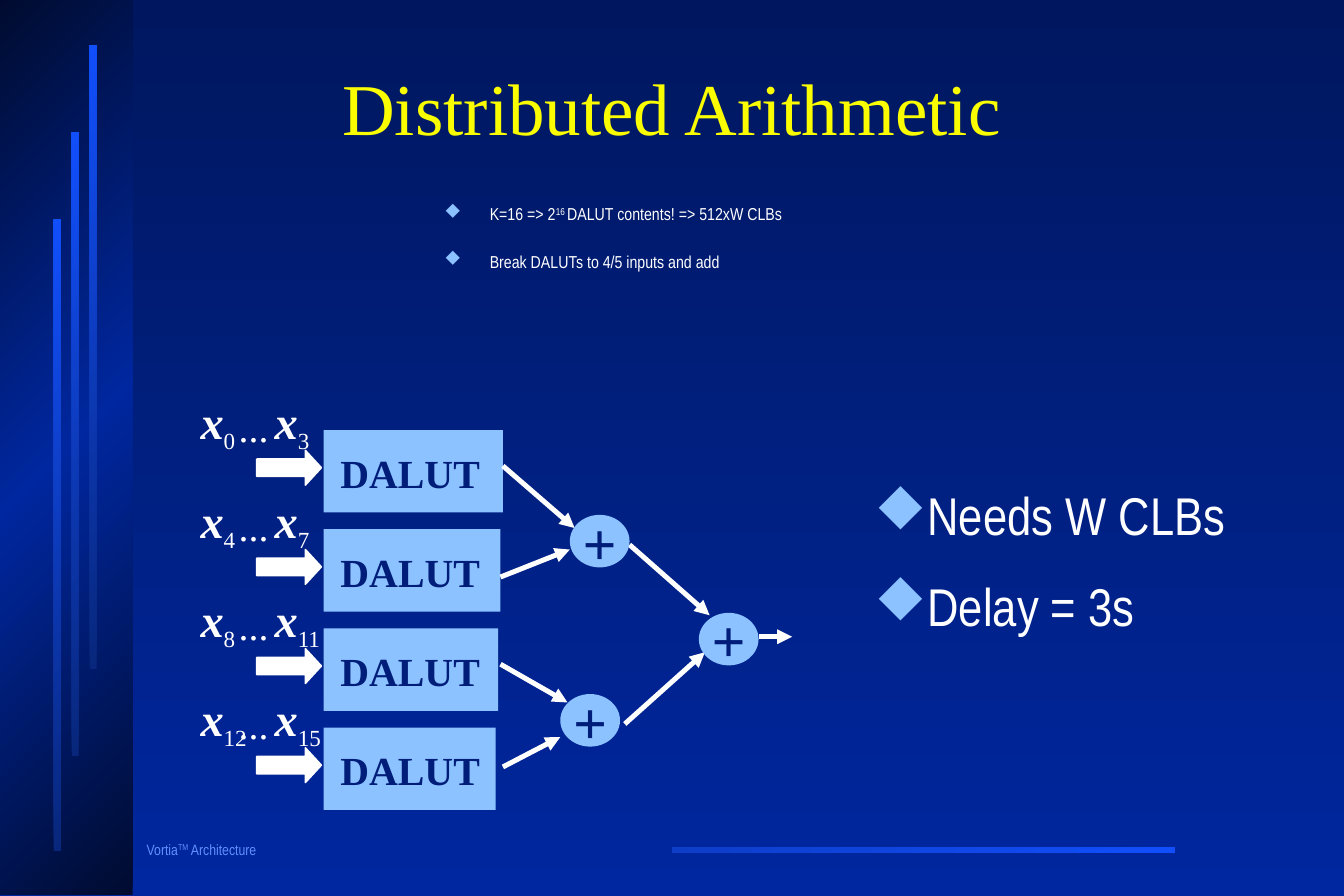
"""Build the Distributed Arithmetic slide with its DALUT adder tree."""
from copy import deepcopy

from lxml import etree
from pptx import Presentation
from pptx.dml.color import RGBColor
from pptx.enum.shapes import MSO_CONNECTOR, MSO_SHAPE
from pptx.enum.text import MSO_ANCHOR, PP_ALIGN
from pptx.oxml.ns import qn
from pptx.util import Inches, Pt

RECTANGLE, OVAL, BLOCK_ARROW = MSO_SHAPE.RECTANGLE, MSO_SHAPE.OVAL, MSO_SHAPE.RIGHT_ARROW
STRAIGHT = MSO_CONNECTOR.STRAIGHT
LEFT, CENTER = PP_ALIGN.LEFT, PP_ALIGN.CENTER
MIDDLE = MSO_ANCHOR.MIDDLE

WHITE = RGBColor(0xFF, 0xFF, 0xFF)
YELLOW = RGBColor(0xFA, 0xFD, 0x00)
SKY = RGBColor(0x8C, 0xC2, 0xFF)
INK = RGBColor(0x00, 0x1D, 0x7A)
FOOTER_BLUE = RGBColor(0x61, 0x8F, 0xFD)
NIGHT = RGBColor(0x00, 0x17, 0x5F)
ROYAL = RGBColor(0x00, 0x27, 0x9F)
BLACK_BLUE = RGBColor(0x00, 0x0B, 0x2F)
BRIGHT = RGBColor(0x11, 0x4F, 0xFB)
RULE_BLUE = RGBColor(0x0D, 0x3E, 0xC8)
DIM = RGBColor(0x08, 0x27, 0x7C)
SERIF, NARROW = "Times New Roman", "Arial Narrow"
BULLET_FONT, DIAMOND = "Wingdings", "u"

WIDTH, HEIGHT = 11.25, 7.5
TITLE = "Distributed Arithmetic"
FOOTER = [("Vortia", 0), ("TM", 30), (" Architecture", 0)]
SIZE_POINTS = [
    [("K=16 => 2", 0), ("16 ", 30), ("DALUT contents! => 512xW CLBs", 0)],
    [("Break DALUTs to 4/5 inputs and add", 0)],
]
COST_POINTS = [[("Needs W CLBs", 0)], [("Delay = 3s", 0)]]
INPUT_RANGES = [("0", "3"), ("4", "7"), ("8", "11"), ("12", "15")]
DECORATIONS = [
    ((5.63, 7.09, 4.21, 0.05), [BRIGHT, RULE_BLUE]),
    ((0, 0, 1.11, 7.49), [BLACK_BLUE, ROYAL, BLACK_BLUE]),
    ((0.45, 1.84, 0.06, 5.28), [DIM, BRIGHT]),
    ((0.6, 1.11, 0.06, 5.22), [DIM, BRIGHT]),
    ((0.75, 0.38, 0.06, 5.22), [DIM, BRIGHT]),
]
ADDERS = [(4.77, 4.31), (4.69, 5.81), (5.85, 5.13)]
WIRES = [
    ((4.21, 3.9), (4.81, 4.42)),
    ((4.19, 4.83), (4.77, 4.6)),
    ((4.19, 5.56), (4.75, 5.88)),
    ((4.21, 6.42), (4.69, 6.17)),
    ((5.27, 4.56), (5.94, 5.15)),
    ((5.23, 6.06), (5.9, 5.46)),
    ((6.35, 5.33), (6.63, 5.33)),
]
FIRST_ROW, ROW_PITCH, ROW_HEIGHT = 3.6, 0.83, 0.69
TABLE_LEFT, TABLE_WIDTH, TABLE_TAPER = 2.71, 1.5, 0.02


def paint_gradient(fill, element, colours, angle):
    fill.gradient()
    fill.gradient_angle = (360 - angle) % 360
    stop_list = element.find(".//" + qn("a:gsLst"))
    for _ in colours[2:]:
        stop_list.append(deepcopy(stop_list[0]))
    for index, (stop, colour) in enumerate(zip(fill.gradient_stops, colours)):
        stop.position = index / (len(colours) - 1)
        stop.color.rgb = colour


def write(paragraph, runs, size, font, colour, bold=False, spacing=None):
    if spacing:
        paragraph.line_spacing = spacing
    for text, baseline in runs:
        run = paragraph.add_run()
        run.text = text
        run.font.size, run.font.name, run.font.bold = Pt(size), font, bold
        run.font.color.rgb = colour
        if baseline:
            run._r.get_or_add_rPr().set("baseline", str(baseline * 1000))


def add_text_box(slide, box, wrap=False):
    text_frame = slide.shapes.add_textbox(*map(Inches, box)).text_frame
    text_frame.word_wrap = wrap
    return text_frame


def add_block(slide, kind, box, colour=None):
    shape = slide.shapes.add_shape(kind, *map(Inches, box))
    shape.shadow.inherit = False
    shape.line.fill.background()
    if colour:
        shape.fill.solid()
        shape.fill.fore_color.rgb = colour
    return shape


def add_label(shape, text, size, alignment, margins):
    text_frame = shape.text_frame
    text_frame.word_wrap = False
    text_frame.vertical_anchor = MIDDLE
    text_frame.margin_left, text_frame.margin_top = map(Inches, margins)
    text_frame.margin_right = text_frame.margin_bottom = 0
    text_frame.paragraphs[0].alignment = alignment
    write(text_frame.paragraphs[0], [(text, 0)], size, SERIF, INK, bold=True)


def add_bullets(slide, box, inset, points, size, spacing):
    text_frame = add_text_box(slide, box, wrap=True)
    text_frame.margin_left = Inches(inset)
    for index, runs in enumerate(points):
        paragraph = text_frame.add_paragraph() if index else text_frame.paragraphs[0]
        paragraph.space_before = Pt(20)
        write(paragraph, runs, size, NARROW, WHITE, spacing=spacing)
        properties = paragraph._p.get_or_add_pPr()
        properties.set("marL", str(Inches(0.38)))
        properties.set("indent", str(-Inches(0.38)))
        bullet_colour = etree.SubElement(properties, qn("a:buClr"))
        etree.SubElement(bullet_colour, qn("a:srgbClr")).set("val", str(SKY))
        bullet_font = etree.SubElement(properties, qn("a:buFont"))
        bullet_font.set("typeface", BULLET_FONT)
        bullet_font.set("charset", "2")
        etree.SubElement(properties, qn("a:buChar")).set("char", DIAMOND)


def add_input(slide, left, top, index_text):
    width = 0.39 + 0.1 * len(index_text)
    paragraph = add_text_box(slide, (left, top, width, 0.61)).paragraphs[0]
    write(paragraph, [("x", 0)], 28, SERIF, WHITE, bold=True)
    paragraph.runs[0].font.italic = True
    write(paragraph, [(index_text, -25)], 24, SERIF, WHITE)


def add_table_row(slide, row, first, last):
    top = FIRST_ROW + row * ROW_PITCH
    table_box = (TABLE_LEFT, top, TABLE_WIDTH - row * TABLE_TAPER, ROW_HEIGHT)
    table = add_block(slide, RECTANGLE, table_box, SKY)
    add_label(table, "DALUT", 24, LEFT, (0.14, 0.02))
    arrow = add_block(slide, BLOCK_ARROW, (2.15, top + 0.17, 0.54, 0.29), WHITE)
    arrow.adjustments[1] = 0.46
    arrow.line.color.rgb = WHITE
    arrow.line.width = Pt(1)
    add_input(slide, 1.58, top - 0.36, first)
    add_input(slide, 2.2, top - 0.36, last)
    dots = add_text_box(slide, (1.9, top - 0.28, 0.45, 0.5))
    write(dots.paragraphs[0], [("...", 0)], 24, SERIF, WHITE)


def add_wire(slide, start, end):
    wire = slide.shapes.add_connector(STRAIGHT, *map(Inches, start + end))
    wire.line.color.rgb = WHITE
    wire.line.width = Pt(3)
    etree.SubElement(wire.line._get_or_add_ln(), qn("a:tailEnd")).set("type", "triangle")
    etree.SubElement(wire._element.spPr, qn("a:effectLst"))


def main():
    presentation = Presentation()
    presentation.slide_width, presentation.slide_height = Inches(WIDTH), Inches(HEIGHT)
    slide = presentation.slides.add_slide(presentation.slide_layouts[5])
    paint_gradient(slide.background.fill, slide.element, [NIGHT, ROYAL], 90)

    for box, colours in DECORATIONS:
        shape = add_block(slide, RECTANGLE, box)
        paint_gradient(shape.fill, shape._element, colours, 225)
    footer = add_text_box(slide, (1.13, 7, 1.5, 0.23), wrap=True)
    write(footer.paragraphs[0], FOOTER, 9, NARROW, FOOTER_BLUE, spacing=0.9)

    title = slide.shapes.title
    title.left, title.top, title.width, title.height = map(Inches, (1.16, 0.32, 8.93, 1.25))
    title.text_frame.vertical_anchor = MIDDLE
    title.text_frame.paragraphs[0].alignment = CENTER
    write(title.text_frame.paragraphs[0], [(TITLE, 0)], 44, SERIF, YELLOW, spacing=0.85)

    add_bullets(slide, (0.66, 1.7, 8.95, 0.6), 3.06, SIZE_POINTS, 10.4, 0.7)
    add_bullets(slide, (6.58, 4.05, 4.36, 1.6), 0.74, COST_POINTS, 32, 0.9)
    for row, (first, last) in enumerate(INPUT_RANGES):
        add_table_row(slide, row, first, last)
    for start, end in WIRES:
        add_wire(slide, start, end)
    for left, top in ADDERS:
        adder = add_block(slide, OVAL, (left, top, 0.5, 0.44), SKY)
        add_label(adder, "+", 36, CENTER, (0, 0))
    presentation.save("out.pptx")


if __name__ == "__main__":
    main()
